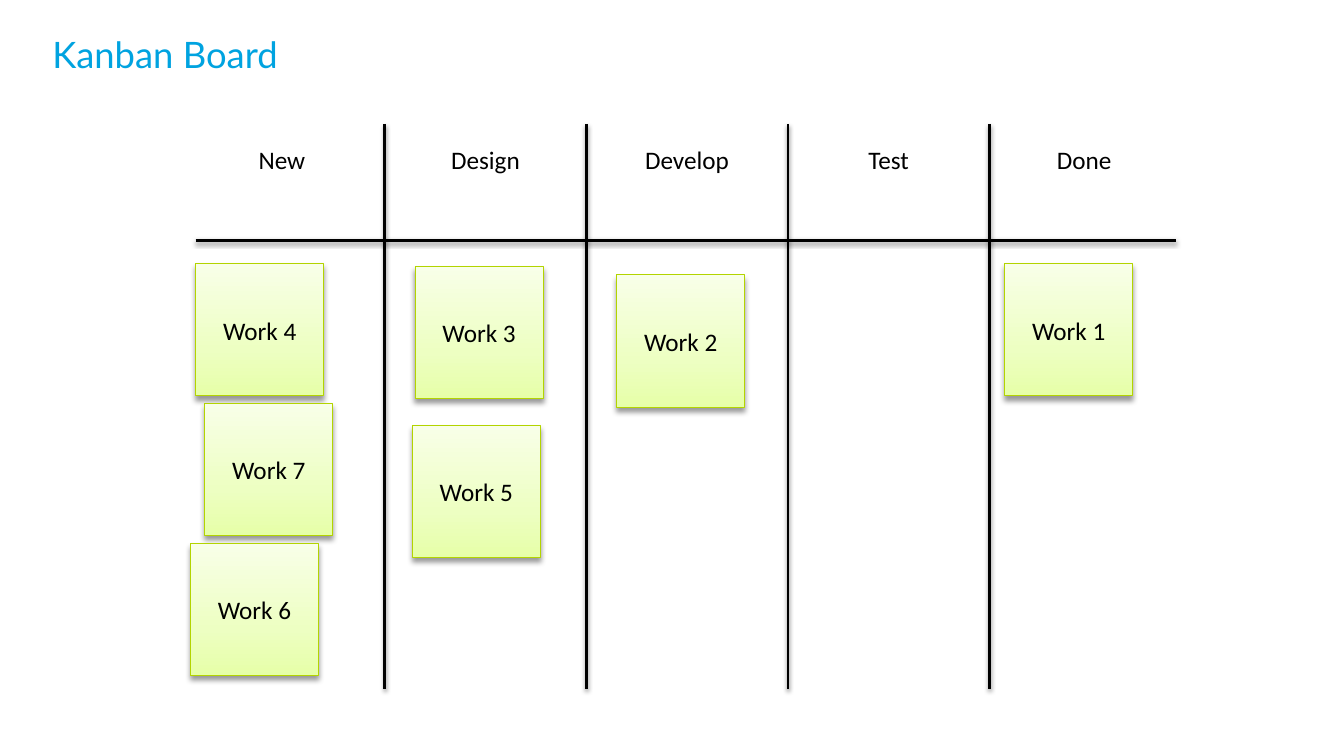
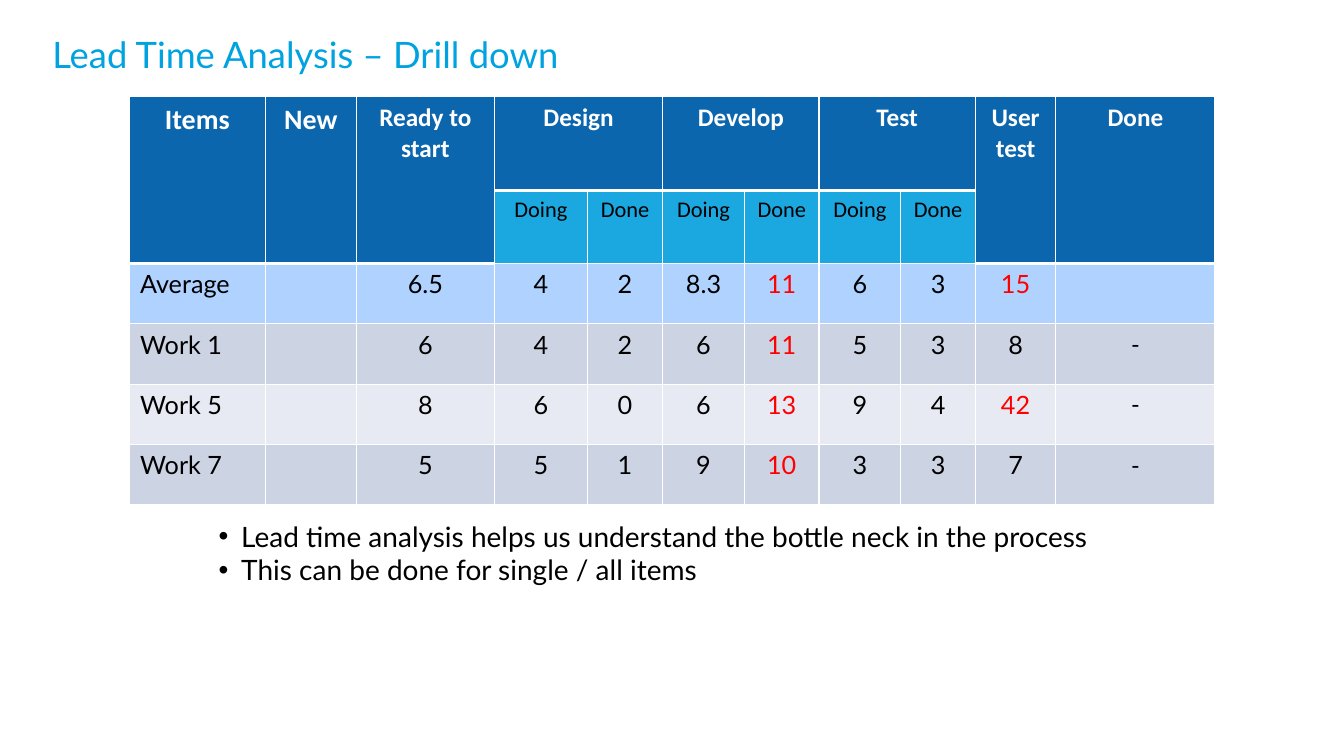
"""Build a Kanban board slide and a lead time analysis slide."""
import lxml.etree
import pptx
import pptx.dml.color
import pptx.enum.shapes
import pptx.enum.text
import pptx.oxml.ns
import pptx.util

Cm = pptx.util.Cm
Pt = pptx.util.Pt
qn = pptx.oxml.ns.qn
CENTER = pptx.enum.text.PP_ALIGN.CENTER
LEFT = pptx.enum.text.PP_ALIGN.LEFT

BLACK, WHITE, RED = "000000", "FFFFFF", "FF0000"
TITLE_BLUE, HEADER_BLUE, STAGE_BLUE = "00A3E0", "0B66AE", "1BA8E1"
NOTE_BORDER = "B3D400"
NOTE_GRADIENT = [(0, "E6FFA8"), (35, "EDFFC2"), (100, "F8FFE8")]
TITLE_FONT, LABEL_FONT = "Lato", "Calibri"

BOARD_TITLE = "Kanban Board"
STAGES = ["New", "Design", "Develop", "Test", "Done"]
NOTES = [
    ("Work 4", 4.93, 6.65),
    ("Work 3", 10.46, 6.71),
    ("Work 2", 15.54, 6.93),
    ("Work 1", 25.32, 6.65),
    ("Work 7", 5.16, 10.16),
    ("Work 6", 4.8, 13.69),
    ("Work 5", 10.39, 10.72),
]
NOTE_WIDTH, NOTE_HEIGHT = 3.23, 3.33
BOARD_LEFT, BOARD_RIGHT, BOARD_TOP, BOARD_BOTTOM = 4.93, 29.64, 3.12, 17.35
HEADING_RULE, FIRST_DIVIDER, STAGE_PITCH = 6.05, 9.7, 5.08

ANALYSIS_TITLE = "Lead Time Analysis – Drill down"
STEPS = ["Doing", "Done"]
HEADERS = [
    ("Items", 20, []),
    ("New", 20, []),
    ("Ready to start", 18, []),
    ("Design", 18, STEPS),
    ("Develop", 18, STEPS),
    ("Test", 18, STEPS),
    ("User test", 18, []),
    ("Done", 18, []),
]
LEAD_TIMES = [
    ("AFD2FF", ["Average", "", "6.5", "4", "2", "8.3", "11", "6", "3", "15", ""]),
    ("CCD3E3", ["Work 1", "", "6", "4", "2", "6", "11", "5", "3", "8", "-"]),
    ("E7EAF2", ["Work 5", "", "8", "6", "0", "6", "13", "9", "4", "42", "-"]),
    ("CCD3E3", ["Work 7", "", "5", "5", "1", "9", "10", "3", "3", "7", "-"]),
]
COLUMN_WIDTHS = [3.43, 2.29, 3.48, 2.34, 1.9, 2.06, 1.88, 2.06, 1.88, 2.03, 4.01]
ROW_HEIGHTS = [2.36, 1.84] + [1.52] * len(LEAD_TIMES)
BOTTLENECK_DAYS = 10
TAKEAWAYS = [
    "Lead time analysis helps us understand the bottle neck in the process",
    "This can be done for single / all items",
]


def rgb(value):
    """Return the colour for a hex string."""
    return pptx.dml.color.RGBColor.from_string(value)


def child(parent, tag, **attributes):
    """Append an XML element with the given attributes."""
    element = lxml.etree.SubElement(parent, qn(tag))
    for name, value in attributes.items():
        element.set(name, str(value))
    return element


def write(paragraph, text, size, font, color=BLACK, align=LEFT, bold=False):
    """Add one formatted run to a paragraph."""
    paragraph.alignment = align
    run = paragraph.add_run()
    run.text = text
    run.font.size = Pt(size)
    run.font.name = font
    run.font.bold = bold
    run.font.color.rgb = rgb(color)


def text_frame(slide, left, top, width, height, inset=True):
    """Add a wrapping text box and return its frame."""
    frame = slide.shapes.add_textbox(Cm(left), Cm(top), Cm(width), Cm(height)).text_frame
    frame.word_wrap = True
    if not inset:
        frame.margin_left = frame.margin_right = frame.margin_top = frame.margin_bottom = 0
    return frame


def add_slide(deck, title):
    """Add a blank slide with the shared title style."""
    slide = deck.slides.add_slide(deck.slide_layouts[6])
    frame = text_frame(slide, 1.32, 0.81, 31.22, 2.11, inset=False)
    write(frame.paragraphs[0], title, 26, TITLE_FONT, TITLE_BLUE)
    return slide


def drop_shadow(properties, opacity, blur, distance):
    """Add a downward black shadow to shape properties."""
    effects = child(properties, "a:effectLst")
    shadow = child(effects, "a:outerShdw", blurRad=Pt(blur), dist=Pt(distance),
                   dir=5400000, rotWithShape=0)
    child(child(shadow, "a:srgbClr", val=BLACK), "a:alpha", val=opacity * 1000)


def add_rule(slide, x1, y1, x2, y2):
    """Draw one line of the board."""
    rule = slide.shapes.add_connector(
        pptx.enum.shapes.MSO_CONNECTOR.STRAIGHT, Cm(x1), Cm(y1), Cm(x2), Cm(y2))
    rule.line.color.rgb = rgb(BLACK)
    rule.line.width = Pt(2)
    drop_shadow(rule._element.spPr, 38, 3.1, 1.6)


def add_note(slide, label, left, top):
    """Place one sticky note on the board."""
    note = slide.shapes.add_shape(
        pptx.enum.shapes.MSO_SHAPE.RECTANGLE,
        Cm(left), Cm(top), Cm(NOTE_WIDTH), Cm(NOTE_HEIGHT))
    note.line.color.rgb = rgb(NOTE_BORDER)
    note.line.width = Pt(0.75)
    properties = note._element.spPr
    gradient = child(properties, "a:gradFill", rotWithShape=1)
    stops = child(gradient, "a:gsLst")
    for position, color in NOTE_GRADIENT:
        child(child(stops, "a:gs", pos=position * 1000), "a:srgbClr", val=color)
    child(gradient, "a:lin", ang=270 * 60000, scaled=0)
    properties.find(qn("a:prstGeom")).addnext(gradient)
    drop_shadow(properties, 40, 4, 3)
    note.text_frame.vertical_anchor = pptx.enum.text.MSO_ANCHOR.MIDDLE
    write(note.text_frame.paragraphs[0], label, 18, LABEL_FONT, align=CENTER)


def build_board(deck):
    """Build the Kanban board."""
    slide = add_slide(deck, BOARD_TITLE)
    dividers = [FIRST_DIVIDER + i * STAGE_PITCH for i in range(len(STAGES) - 1)]
    for x in dividers:
        add_rule(slide, x, BOARD_TOP, x, BOARD_BOTTOM)
    add_rule(slide, BOARD_LEFT, HEADING_RULE, BOARD_RIGHT, HEADING_RULE)
    heading_lefts = [BOARD_LEFT] + [x + 0.36 for x in dividers]
    for stage, left in zip(STAGES, heading_lefts):
        width = min(4.35, BOARD_RIGHT - 0.3 - left)
        frame = text_frame(slide, left, 3.5, width, 1.03)
        write(frame.paragraphs[0], stage, 18, LABEL_FONT, align=CENTER)
    for note in NOTES:
        add_note(slide, *note)


def style_cell(cell, fill, top, bottom):
    """Set the fill, insets and white borders of a cell."""
    properties = cell._tc.get_or_add_tcPr()
    for side, width in (("L", 1), ("R", 1), ("T", top), ("B", bottom)):
        border = child(properties, f"a:ln{side}", w=Pt(width))
        child(child(border, "a:solidFill"), "a:srgbClr", val=WHITE)
    cell.fill.solid()
    cell.fill.fore_color.rgb = rgb(fill)
    cell.margin_left = cell.margin_right = Cm(0.27)
    cell.margin_top = cell.margin_bottom = Cm(0.14)


def fill_headers(table):
    """Write and merge the two header rows and return the split columns."""
    split_columns = set()
    column = 0
    for label, size, steps in HEADERS:
        span = max(1, len(steps))
        corner = table.cell(0, column)
        corner.merge(table.cell(0 if steps else 1, column + span - 1))
        write(corner.text_frame.paragraphs[0], label, size, LABEL_FONT, WHITE, CENTER, True)
        for offset, step in enumerate(steps):
            split_columns.add(column + offset)
            paragraph = table.cell(1, column + offset).text_frame.paragraphs[0]
            write(paragraph, step, 16, LABEL_FONT, align=CENTER)
        column += span
    return split_columns


def fill_lead_times(table):
    """Write the lead times, with bottlenecks in red."""
    for row, (_, values) in enumerate(LEAD_TIMES, 2):
        for column, value in enumerate(values):
            if not value:
                continue
            is_number = column > 0 and value != "-"
            color = RED if is_number and float(value) >= BOTTLENECK_DAYS else BLACK
            write(table.cell(row, column).text_frame.paragraphs[0], value, 18,
                  LABEL_FONT if value == "-" else TITLE_FONT, color,
                  CENTER if column else LEFT)


def add_lead_time_table(slide):
    """Add the lead time table."""
    table = slide.shapes.add_table(
        len(ROW_HEIGHTS), len(COLUMN_WIDTHS), Cm(3.26), Cm(2.44),
        Cm(sum(COLUMN_WIDTHS)), Cm(sum(ROW_HEIGHTS))).table
    table.first_row = table.horz_banding = False
    for column, width in zip(table.columns, COLUMN_WIDTHS):
        column.width = Cm(width)
    for row, height in zip(table.rows, ROW_HEIGHTS):
        row.height = Cm(height)
    split_columns = fill_headers(table)
    fill_lead_times(table)
    row_fills = [HEADER_BLUE, STAGE_BLUE] + [fill for fill, _ in LEAD_TIMES]
    for column in range(len(COLUMN_WIDTHS)):
        is_split = column in split_columns
        edges = [1, 3, 1 if is_split else 3] + [1] * len(LEAD_TIMES)
        for row, fill in enumerate(row_fills):
            cell_fill = HEADER_BLUE if row == 1 and not is_split else fill
            style_cell(table.cell(row, column), cell_fill, edges[row], edges[row + 1])


def build_analysis(deck):
    """Build the lead time analysis."""
    slide = add_slide(deck, ANALYSIS_TITLE)
    add_lead_time_table(slide)
    frame = text_frame(slide, 5.51, 13.08, 22.86, 3.94, inset=False)
    for i, takeaway in enumerate(TAKEAWAYS):
        paragraph = frame.add_paragraph() if i else frame.paragraphs[0]
        properties = paragraph._p.get_or_add_pPr()
        properties.set("marL", str(Cm(0.57)))
        properties.set("indent", str(-Cm(0.57)))
        child(properties, "a:buFont", typeface="Arial")
        child(properties, "a:buChar", char="•")
        write(paragraph, takeaway, 20, TITLE_FONT)


def main():
    """Build and save the deck."""
    deck = pptx.Presentation()
    deck.slide_width, deck.slide_height = Cm(33.87), Cm(19.05)
    build_board(deck)
    build_analysis(deck)
    deck.save("out.pptx")


if __name__ == "__main__":
    main()
